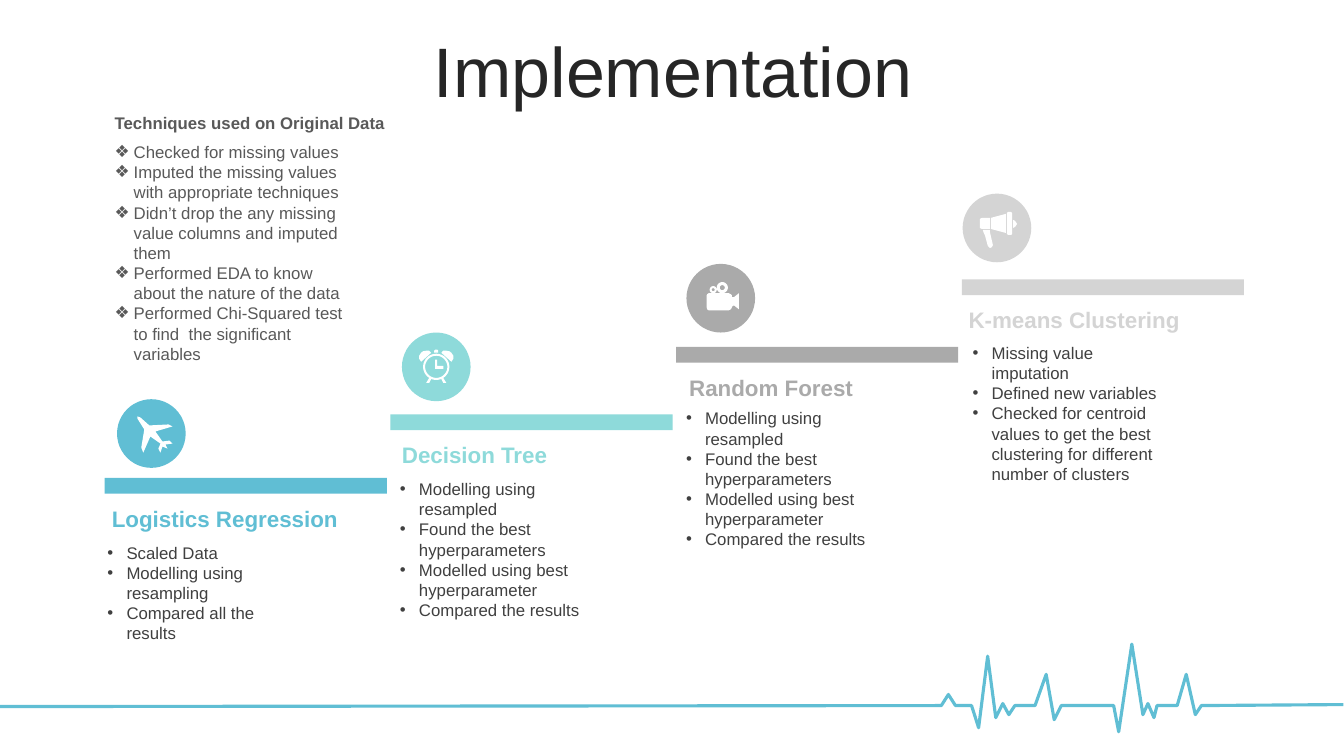
from dataclasses import dataclass
from math import cos, pi, sin

from lxml.etree import SubElement
from pptx import Presentation
from pptx.dml.color import RGBColor
from pptx.enum.shapes import MSO_SHAPE
from pptx.enum.text import MSO_ANCHOR, PP_ALIGN
from pptx.oxml.ns import qn
from pptx.shapes.autoshape import Shape
from pptx.slide import Slide
from pptx.text.text import TextFrame
from pptx.util import Cm, Pt

Point = tuple[float, float]
Loop = list[Point]


@dataclass(frozen=True)
class Theme:
    font: str = "Arial"
    blue: str = "60BED4"
    mint: str = "8EDADA"
    gray: str = "AAAAAA"
    pale: str = "D4D4D4"
    white: str = "FFFFFF"
    title: str = "262626"
    body: str = "404040"
    note: str = "595959"
    big: float = 50
    head: float = 16
    small: float = 12
    line: float = 2.25


@dataclass(frozen=True)
class Box:
    left: float
    top: float
    width: float
    height: float

    def emu(self) -> tuple[Cm, Cm, Cm, Cm]:
        return Cm(self.left), Cm(self.top), Cm(self.width), Cm(self.height)


@dataclass(frozen=True)
class Style:
    size: float
    color: str
    bold: bool = False
    mark: str = ""


@dataclass(frozen=True)
class Step:
    name: str
    color: str
    bar: float
    head: float
    list: Box
    disc: Point
    icon: list[Loop]
    items: list[str]


THEME = Theme()
UNIT = 0.0254
FINE = 100
DISC = 1.73
INDENT = 0.48


def ring(x: float, y: float, size: float) -> Loop:
    """Return the points of a circle."""
    turns = [2 * pi * n / 48 for n in range(48)]
    return [(x + size * cos(t), y + size * sin(t)) for t in turns]


def flip(loop: Loop) -> Loop:
    """Mirror a loop from left to right."""
    return [(-x, y) for x, y in loop]


EAR = [(-5, -14), (-7, -16), (-10, -16), (-13, -15.5), (-15, -14),
       (-17, -11), (-17, -8), (-15, -5)]
LEG = [(7, 11), (10, 16), (7, 16), (5, 12)]
PLANE = [[(21, 10), (14, 11), (16, 15), (11, 13), (9, 19), (7, 15), (9, 10),
          (-1, 3), (-8, 19), (-10, 14), (-7, -4), (-14, -15), (-14, -17),
          (-11, -16), (-2, -8), (17, -9), (21, -7), (4, -2), (11, 8), (18, 7)]]
CLOCK = [ring(0, 0, 13), ring(0, 0, 11), EAR, flip(EAR), LEG, flip(LEG),
         [(-1, -7), (1, -7), (1, -1), (7, -1), (7, 2), (-1, 2)],
         [(-2, -14), (-2, -16), (-1, -17), (1, -17), (2, -16), (2, -14)]]
FILM = [ring(1.5, -10.5, 5.5), ring(1.5, -10.5, 2.5),
        ring(-7.5, -8.5, 3.5), ring(-7.5, -8.5, 1.5),
        [(-12, -5), (8, -5), (10, -4), (11, -3), (11, -1), (13, -1), (18, -5),
         (18, 11), (13, 7), (12, 8), (11, 8), (11, 9), (10, 11), (8, 12),
         (-12, 12), (-13.5, 11), (-14, 9), (-14, -3), (-13.5, -4)]]
HORN = [[(-7, 2), (-7, 4), (-4, 17), (-5, 19), (-7, 20), (-9, 18), (-12, 7),
         (-13, 5), (-14, 2)],
        [(16, -8), (18, -7), (20, -4), (18, -1), (16, 0)],
        [(-15, -10), (-7, -10), (-7, 1), (-15, 1), (-17, 0), (-17, -9)],
        [(9, -14), (9, 5), (-6, 1), (-6, -10)],
        [(11, -16), (14, -16), (15, -15), (15, 6), (14, 7), (11, 7), (10, 6),
         (10, -15)]]
PULSE = [(1333, 699), (1192, 700), (1186, 709), (1177, 669), (1168, 700),
         (1148, 700), (1145, 712), (1139, 698), (1134, 709), (1123, 639),
         (1110, 726), (1105, 700), (1053, 700), (1046, 714), (1038, 669),
         (1027, 700), (1007, 700), (1001, 709), (995, 698), (988, 712),
         (980, 651), (971, 722), (964, 700), (948, 700), (941, 689),
         (934, 700), (0, 701)]

TUNED = ["Modelling using resampled", "Found the best hyperparameters",
         "Modelled using best hyperparameter", "Compared the results"]
STEPS = [
    Step("Logistics Regression", THEME.blue, 12.04, 2.57,
         Box(2.46, 13.54, 5.33, 2.82), (2.95, 10.06), PLANE,
         ["Scaled Data", "Modelling using resampling",
          "Compared all the results"]),
    Step("Decision Tree", THEME.mint, 10.44, 9.88,
         Box(9.83, 11.94, 5.33, 3.84), (10.13, 8.38), CLOCK, TUNED),
    Step("Random Forest", THEME.gray, 8.74, 17.12,
         Box(17.04, 10.16, 5.33, 3.84), (17.3, 6.65), FILM, TUNED),
    Step("K-means Clustering", THEME.pale, 7.04, 24.16,
         Box(24.26, 8.51, 5.33, 4.37), (24.26, 4.88), HORN,
         ["Missing value imputation", "Defined new variables",
          "Checked for centroid values to get the best clustering for "
          "different number of clusters"]),
]
CHECKS = ["Checked for missing values",
          "Imputed the missing values with appropriate techniques",
          "Didn’t drop the any missing value columns and imputed them",
          "Performed EDA to know about the nature of the data",
          "Performed Chi-Squared test to find  the significant variables"]


def write(slide: Slide, box: Box, lines: list[str], style: Style) -> TextFrame:
    """Add a text box with one paragraph for each line."""
    frame = slide.shapes.add_textbox(*box.emu()).text_frame
    frame.word_wrap = True
    for n, line in enumerate(lines):
        para = frame.add_paragraph() if n else frame.paragraphs[0]
        if style.mark:
            props = para._p.get_or_add_pPr()
            props.set("marL", str(Cm(INDENT)))
            props.set("indent", str(-Cm(INDENT)))
            SubElement(props, qn("a:buFont"), typeface=THEME.font)
            SubElement(props, qn("a:buChar"), char=style.mark)
        run = para.add_run()
        run.text = line
        run.font.name = THEME.font
        run.font.size = Pt(style.size)
        run.font.bold = style.bold
        run.font.color.rgb = RGBColor.from_string(style.color)
    return frame


def paint(shape: Shape, color: str) -> None:
    """Give a shape a plain fill without line or shadow."""
    shape.shadow.inherit = False
    shape.fill.solid()
    shape.fill.fore_color.rgb = RGBColor.from_string(color)
    shape.line.fill.background()


def trace(slide: Slide, loops: list[Loop], spot: Point, close: bool) -> Shape:
    """Build an outline from loops around a spot."""
    fine = [[(x * FINE, y * FINE) for x, y in loop] for loop in loops]
    pen = slide.shapes.build_freeform(*fine[0][0], scale=Cm(UNIT) / FINE)
    for n, loop in enumerate(fine):
        if n:
            pen.move_to(*loop[0])
        pen.add_line_segments(loop[1:], close=close)
    return pen.convert_to_shape(Cm(spot[0]), Cm(spot[1]))


def draw(slide: Slide, step: Step, left: float) -> None:
    """Draw one step with its bar, icon, heading and list."""
    bar = Box(left, step.bar, 7.11, 0.4)
    paint(slide.shapes.add_shape(MSO_SHAPE.RECTANGLE, *bar.emu()), step.color)
    write(slide, Box(step.head, step.bar + 0.56, 7.11, 0.94), [step.name],
          Style(THEME.head, step.color, True))
    write(slide, step.list, step.items,
          Style(THEME.small, THEME.body, mark="•"))
    x, y = step.disc
    disc = Box(x, y, DISC, DISC)
    paint(slide.shapes.add_shape(MSO_SHAPE.OVAL, *disc.emu()), step.color)
    mid = (x + DISC / 2, y + DISC / 2)
    paint(trace(slide, step.icon, mid, True), THEME.white)


def main() -> None:
    """Build and save the slide."""
    deck = Presentation()
    deck.slide_width, deck.slide_height = Cm(33.87), Cm(19.05)
    slide = deck.slides.add_slide(deck.slide_layouts[6])
    pulse = trace(slide, [PULSE], (0, 0), False)
    pulse.shadow.inherit = False
    pulse.fill.background()
    pulse.line.color.rgb = RGBColor.from_string(THEME.blue)
    pulse.line.width = Pt(THEME.line)
    title = write(slide, Box(0.89, 0.94, 32.16, 2.01), ["Implementation"],
                  Style(THEME.big, THEME.title))
    title.vertical_anchor = MSO_ANCHOR.MIDDLE
    title.paragraphs[0].alignment = PP_ALIGN.CENTER
    title.paragraphs[0].line_spacing = 0.8
    for n, step in enumerate(STEPS):
        draw(slide, step, 2.64 + 7.2 * n)
    write(slide, Box(2.64, 3.45, 6.53, 5.89), CHECKS,
          Style(THEME.small, THEME.note, mark="❖"))
    write(slide, Box(2.64, 2.72, 7.44, 0.76),
          ["Techniques used on Original Data"],
          Style(THEME.small, THEME.note, True))
    deck.save("out.pptx")


if __name__ == "__main__":
    main()
